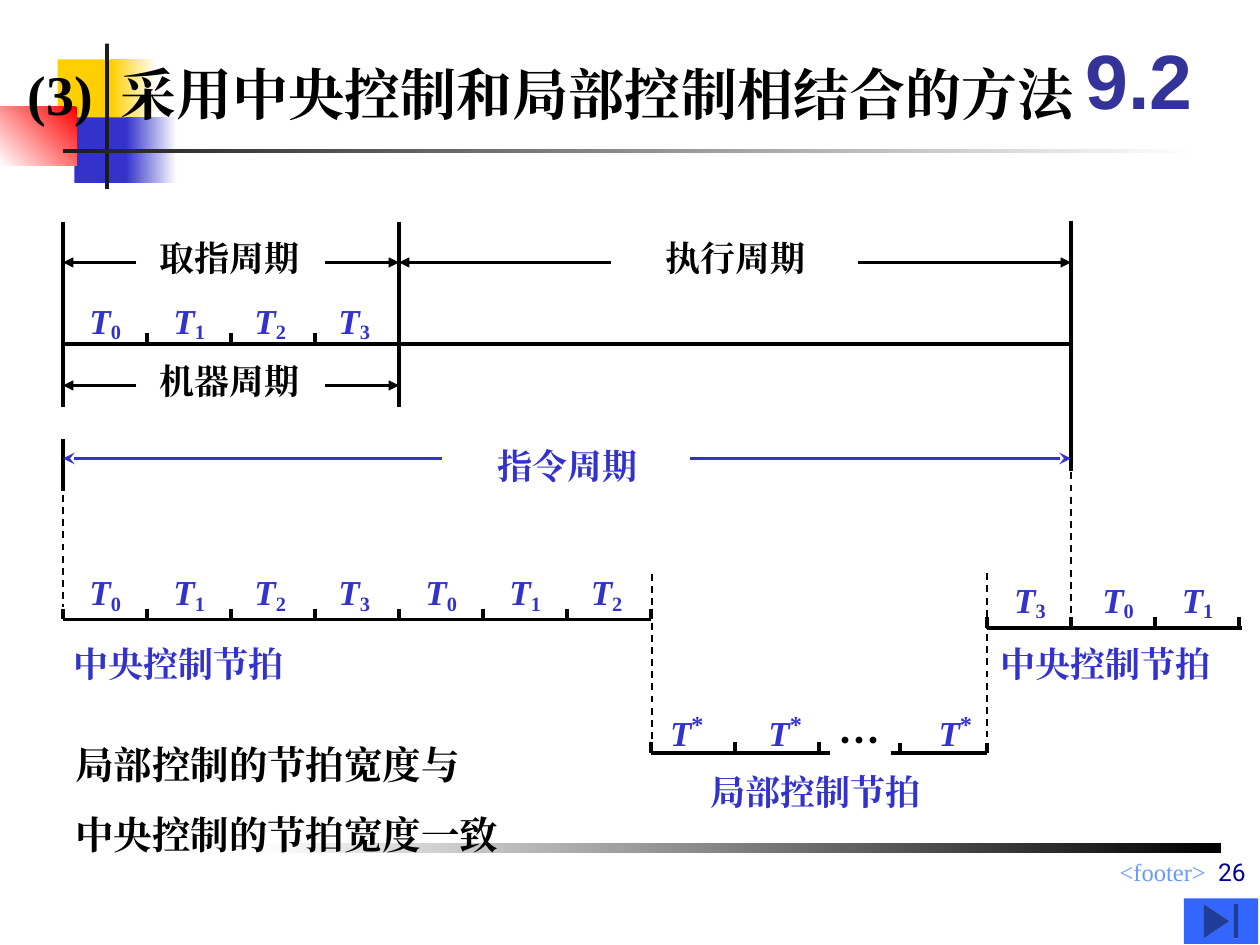
from dataclasses import dataclass

from lxml.etree import SubElement
from pptx import Presentation
from pptx.dml.color import RGBColor
from pptx.enum.dml import MSO_LINE_DASH_STYLE as Dash
from pptx.enum.shapes import MSO_CONNECTOR as Connector, MSO_SHAPE as Shape
from pptx.enum.text import MSO_ANCHOR as Anchor, MSO_AUTO_SIZE as AutoSize, PP_ALIGN as Align
from pptx.oxml.ns import qn
from pptx.util import Pt


@dataclass(frozen=True)
class Theme:
    black: str = "000000"
    white: str = "FFFFFF"
    charcoal: str = "1C1C1C"
    blue: str = "3333CC"
    yellow: str = "FFCF01"
    red: str = "FF0000"
    section: str = "333399"
    footer: str = "6699FF"
    number: str = "000099"
    button: str = "3366FF"
    serif: str = "Times New Roman"
    sans: str = "Arial"
    cjk: str = "Noto Sans CJK SC"
    digits: str = "Roboto"
    title_size: int = 32
    section_size: int = 44
    label_size: int = 20
    star_size: int = 24
    note_size: int = 22
    small_size: int = 14


theme = Theme()
prs = Presentation()
prs.slide_width, prs.slide_height = Pt(720), Pt(540)
slide = prs.slides.add_slide(prs.slide_layouts[6])
shapes = slide.shapes


def add_text(x, y, w, h, paragraphs, size=theme.label_size, color=theme.black,
             face=theme.serif, bold=True, **layout):
    frame = shapes.add_textbox(Pt(x), Pt(y), Pt(w), Pt(h)).text_frame
    settings = {"word_wrap": False, "auto_size": AutoSize.NONE,
                "vertical_anchor": Anchor.TOP} | layout
    align = settings.pop("align", Align.LEFT)
    for key, value in settings.items():
        setattr(frame, key, value)
    for index, pieces in enumerate(paragraphs):
        line = frame.add_paragraph() if index else frame.paragraphs[0]
        line.alignment = align
        if index:
            line.space_before = Pt(13.8)
        for words, extra in pieces:
            run = line.add_run()
            run.text = words
            style = {"size": Pt(size), "bold": bold, "name": face} | extra
            attributes = style.pop("attributes", {})
            run.font.color.rgb = RGBColor.from_string(color)
            for key, value in style.items():
                setattr(run.font, key, value)
            properties = run.font._element
            SubElement(properties, qn("a:ea")).set("typeface", face)
            for key, value in attributes.items():
                properties.set(key, value)


def add_line(x1, y1, x2, y2, width=2.25, color=theme.black, head=None, dash=None):
    connector = shapes.add_connector(Connector.STRAIGHT, Pt(x1), Pt(y1), Pt(x2), Pt(y2))
    connector.line.width = Pt(width)
    connector.line.color.rgb = RGBColor.from_string(color)
    if dash:
        connector.line.dash_style = dash
    if head:
        SubElement(connector.line._get_or_add_ln(), qn("a:tailEnd")).set("type", head)
    SubElement(connector._element.spPr, qn("a:effectLst"))


for x, y, w, h, start, end, angle in [
    (33, 34, 34.5, 37.5, theme.yellow, theme.yellow, 0),
    (63.5, 34, 26, 37.5, theme.yellow, theme.white, 0),
    (42.5, 67, 33, 37.5, theme.blue, theme.blue, 0),
    (72, 67, 29, 37.5, theme.blue, theme.white, 0),
    (0, 61, 44, 33.5, theme.red, theme.white, 225),
    (60, 25, 2.3, 83, theme.charcoal, theme.charcoal, 0),
    (36, 85, 648, 2.3, theme.charcoal, theme.white, 0),
    (145.5, 481.7, 552, 5.6, theme.white, theme.black, 0),
]:
    block = shapes.add_shape(Shape.RECTANGLE, Pt(x), Pt(y), Pt(w), Pt(h))
    block.shadow.inherit = False
    block.line.fill.background()
    if start == end:
        block.fill.solid()
        block.fill.fore_color.rgb = RGBColor.from_string(start)
    else:
        block.fill.gradient()
        block.fill.gradient_angle = angle
        for stop, color in zip(block.fill.gradient_stops, (start, end)):
            stop.color.rgb = RGBColor.from_string(color)

add_text(8.6, 30.2, 612, 46,
         [[("(3)", {}), (" ", {"attributes": {"spc": "800"}}),
           ("采用中央控制和局部控制相结合的方法", {})]], theme.title_size)
add_text(606, 12.2, 90, 66, [[("9.2", {})]], theme.section_size, theme.section, theme.sans,
         word_wrap=True, vertical_anchor=Anchor.MIDDLE, align=Align.CENTER)

LEFT, STEP = 36, 48
fetch_end, local_start, local_end, cycle_end = (LEFT + STEP * n for n in (4, 7, 11, 12))

for x, top, bottom in [(local_start + 0.5, 328, 423), (local_end, 327.6, 421),
                       (cycle_end, 263, 352), (LEFT, 262, 347)]:
    add_line(x, top, x, bottom, 1, dash=Dash.DASH)

for x, top, bottom in [(LEFT, 126.7, 232.6), (fetch_end, 126.7, 232.6),
                       (cycle_end, 126, 269), (LEFT, 250.6, 280.8)]:
    add_line(x, top, x, bottom)

for start, end, y, ticks in [
    (LEFT, cycle_end, 196.5, range(1, 4)),
    (LEFT, local_start, 354, range(8)),
    (local_end, 710, 358.8, range(11, 15)),
    (local_start, 474.5, 430.2, range(7, 10)),
    (509, local_end, 430.5, (9.96, 11)),
]:
    add_line(start, y, end, y)
    for n in ticks:
        add_line(LEFT + STEP * n, y - 6, LEFT + STEP * n, y)

for tail, tip, y in [(78, LEFT, 150), (186, fetch_end, 150), (349, fetch_end, 150),
                     (490.5, cycle_end, 150), (78, LEFT, 220.3), (186, fetch_end, 220.3)]:
    add_line(tail, y, tip, y, 1.5, head="triangle")
for tail, tip in [(252.7, LEFT), (394.5, cycle_end)]:
    add_line(tail, 262, tip, 262, color=theme.blue, head="stealth")

for x, y, w, words, color in [
    (84, 131.6, 94.3, "取指周期", theme.black),
    (373, 131.6, 94.3, "执行周期", theme.black),
    (84, 202, 94.3, "机器周期", theme.black),
    (277.2, 250.5, 94.3, "指令周期", theme.blue),
    (34.8, 363.6, 134.6, "中央控制节拍", theme.blue),
    (564.7, 363.6, 134.6, "中央控制节拍", theme.blue),
    (398.7, 437, 134.6, "局部控制节拍", theme.blue),
]:
    add_text(x, y, w, 31.7, [[(words, {})]], color=color)

subscript = {"attributes": {"baseline": "-15000"}}
superscript = {"size": Pt(theme.star_size), "attributes": {"baseline": "30000"}}
central_lefts = [44, 92, 138.3, 186.3, 236, 284, 330.5]
for lefts, y, marks, style in [
    (central_lefts[:4], 167.6, "0123", subscript),
    (central_lefts, 322.6, "0123012", subscript),
    ([572.4, 622.8, 668.2], 326.9, "301", subscript),
    ([375.8, 432, 529.2], 398.9, "***", superscript),
]:
    for x, mark in zip(lefts, marks):
        add_text(x, y, 32.4, 32.4, [[("T", {"italic": True}), (mark, style)]], color=theme.blue)

add_text(472.3, 404.6, 57, 36, [[("…", {})]], theme.star_size, face=theme.cjk, word_wrap=True)
add_text(36, 419.8, 354, 74,
         [[("局部控制的节拍宽度与", {})], [("中央控制的节拍宽度一致", {})]],
         theme.note_size, word_wrap=True)
add_text(282.2, 486, 414, 19, [[("<footer>", {})]], theme.small_size, theme.footer,
         bold=False, word_wrap=True, align=Align.RIGHT)
add_text(375, 473.8, 344, 36, [[("26", {})]], theme.small_size, theme.number, theme.digits,
         bold=False, word_wrap=True, vertical_anchor=Anchor.BOTTOM, align=Align.RIGHT)

end_button = shapes.add_shape(Shape.ACTION_BUTTON_END, Pt(676.5), Pt(513.4), Pt(42.5), Pt(26))
end_button.shadow.inherit = False
end_button.fill.solid()
end_button.fill.fore_color.rgb = RGBColor.from_string(theme.button)
end_button.line.fill.background()

prs.save("out.pptx")
